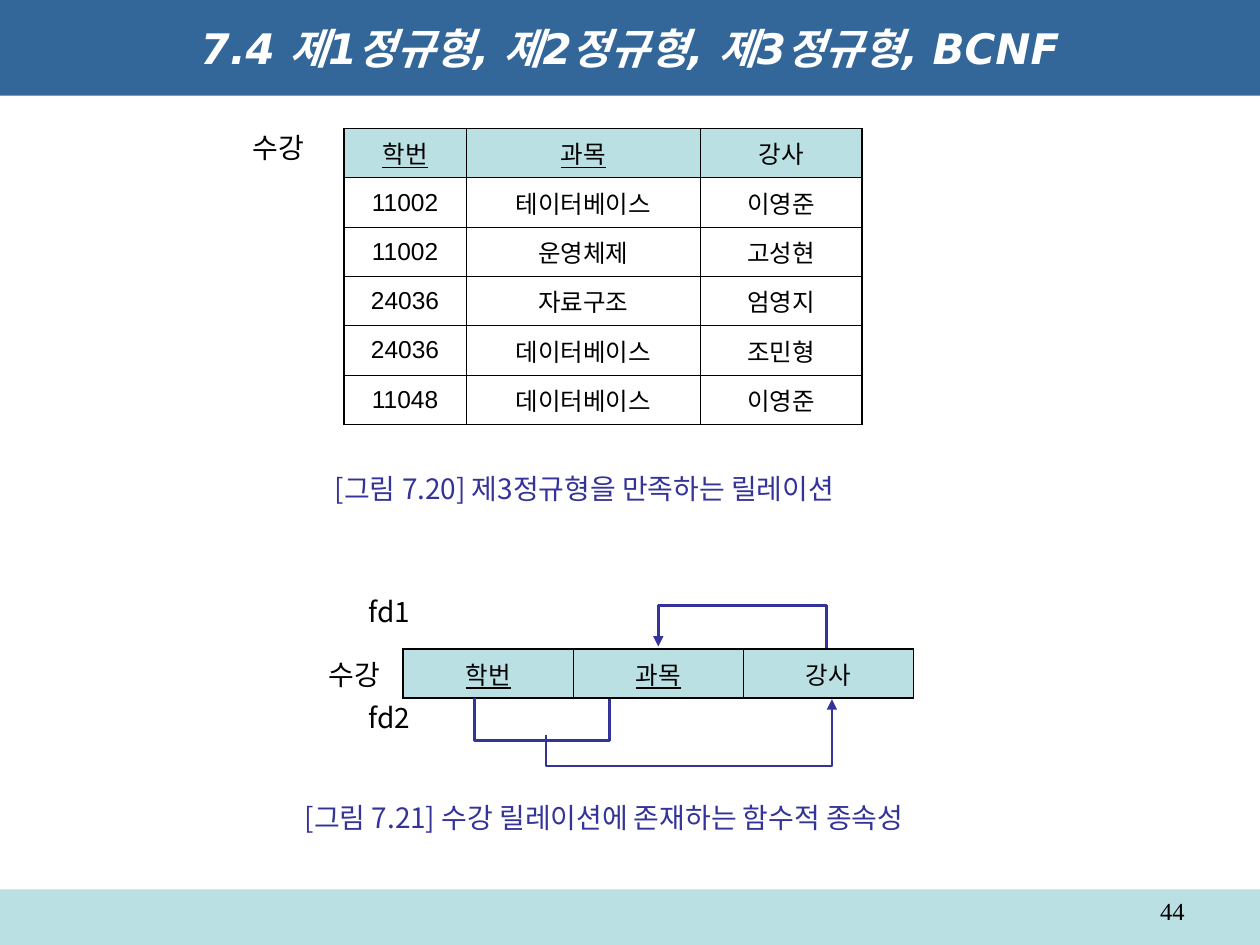
from collections import namedtuple

from lxml.etree import SubElement
from pptx import Presentation
from pptx.dml.color import RGBColor
from pptx.enum.shapes import MSO_CONNECTOR, MSO_SHAPE
from pptx.enum.text import MSO_ANCHOR, PP_ALIGN
from pptx.oxml.ns import qn
from pptx.util import Inches, Pt

COLORS = {"band": "336699", "pale": "BBE0E3", "ink": "000000",
          "accent": "333399", "white": "FFFFFF"}
KOREAN = "Noto Sans CJK KR"
LABEL_FONT = "Noto Sans CJK JP"
COLUMNS, ROWS = 100, 75
WIDTH, HEIGHT = Inches(10), Inches(7.5)
THICK, THIN = 1.08, 0.45
LABEL_HEIGHT = 3.7

# Measured in columns and rows of the slide grid.
Box = namedtuple("Box", "left top width height")

KEYS = ("학번", "과목")
HEADER = ("학번", "과목", "강사")
ENROLMENTS = [
    ("11002", "테이터베이스", "이영준"),
    ("11002", "운영체제", "고성현"),
    ("24036", "자료구조", "엄영지"),
    ("24036", "데이터베이스", "조민형"),
    ("11048", "데이터베이스", "이영준"),
]


def across(columns):
    return round(WIDTH * columns / COLUMNS)


def down(rows):
    return round(HEIGHT * rows / ROWS)


def place(box):
    return across(box.left), down(box.top), across(box.width), down(box.height)


def rgb(name):
    return RGBColor.from_string(COLORS[name])


def write(frame, text, size=16, font=LABEL_FONT, color="ink", align=PP_ALIGN.LEFT,
          anchor=MSO_ANCHOR.TOP, wrap=False, bold=False, italic=False, underline=False):
    frame.word_wrap = wrap
    frame.vertical_anchor = anchor
    paragraph = frame.paragraphs[0]
    paragraph.alignment = align
    run = paragraph.add_run()
    run.text = text
    style = run.font
    style.size, style.name, style.color.rgb = Pt(size), font, rgb(color)
    style.bold, style.italic, style.underline = bold, italic, underline
    SubElement(style._element, qn("a:ea"), typeface=KOREAN)


def add_label(slide, box, text, **style):
    write(slide.shapes.add_textbox(*place(box)).text_frame, text, **style)


def add_band(slide, box, color):
    band = slide.shapes.add_shape(MSO_SHAPE.RECTANGLE, *place(box))
    band.shadow.inherit = False
    band.fill.solid()
    band.fill.fore_color.rgb = rgb(color)
    band.line.fill.background()
    return band


def set_borders(cell, widths):
    """Put left, right, top and bottom lines ahead of the cell's fill."""
    properties = cell._tc.get_or_add_tcPr()
    for position, (side, width) in enumerate(zip("LRTB", widths)):
        line = SubElement(properties, qn(f"a:ln{side}"), w=str(Pt(width)))
        fill = SubElement(line, qn("a:solidFill"))
        SubElement(fill, qn("a:srgbClr"), val=COLORS["ink"])
        properties.insert(position, line)


def add_relation(slide, box, column_shares, records):
    """Draw a relation with its header row and underlined key attributes."""
    rows = [HEADER, *records]
    table = slide.shapes.add_table(len(rows), len(HEADER), *place(box)).table
    table.first_row = table.horz_banding = False
    for column, share in zip(table.columns, column_shares):
        column.width = across(box.width * share / sum(column_shares))
    last_row, last_column = len(rows) - 1, len(HEADER) - 1
    for r, values in enumerate(rows):
        table.rows[r].height = down(box.height / len(rows))
        for c, value in enumerate(values):
            cell = table.cell(r, c)
            if r == 0:
                cell.fill.solid()
                cell.fill.fore_color.rgb = rgb("pale")
            else:
                cell.fill.background()
            outer = (c == 0, c == last_column, r == 0, r == last_row)
            set_borders(cell, [THICK if edge else THIN for edge in outer])
            write(cell.text_frame, value, size=14, font="Arial", wrap=True,
                  align=PP_ALIGN.CENTER, underline=value in KEYS)
            cell.vertical_anchor = MSO_ANCHOR.MIDDLE


def add_dependency(slide, start, end, bus, arrow=True):
    """Join two points by an elbow that runs along the row called bus."""
    (x1, y1), (x2, y2) = start, end
    length, spread = abs(y2 - y1), abs(x2 - x1)
    left, top = (x1 + x2 - length) / 2, (y1 + y2 - spread) / 2
    link = slide.shapes.add_connector(
        MSO_CONNECTOR.ELBOW, across(left), down(top),
        across(left + length), down(top + spread))
    link.line.color.rgb = rgb("accent")
    link.line.width = Pt(1.5)
    properties = link._element.spPr
    # A quarter turn makes the elbow leave and arrive vertically.
    frame = properties.find(qn("a:xfrm"))
    frame.set("rot", "5400000")
    frame.set("flipH", str(int(y2 < y1)))
    frame.set("flipV", str(int(x2 > x1)))
    bend = round((bus - y1) / (y2 - y1) * 100000)
    guides = properties.find(qn("a:prstGeom")).get_or_add_avLst()
    SubElement(guides, qn("a:gd"), name="adj1", fmla=f"val {bend}")
    if arrow:
        SubElement(link.line._get_or_add_ln(), qn("a:tailEnd"), type="triangle")
    SubElement(properties, qn("a:effectLst"))


def add_title(slide, box):
    write(add_band(slide, box, "band").text_frame,
          "7.4 제1정규형, 제2정규형, 제3정규형, BCNF", size=24, font="DejaVu Sans",
          color="white", align=PP_ALIGN.CENTER, anchor=MSO_ANCHOR.MIDDLE,
          wrap=True, bold=True, italic=True)


def add_footer(slide, box):
    add_band(slide, box, "pale")
    number = Box(box.left + box.width - 28.3, box.top, 23.3, 2.9)
    add_label(slide, number, "44", size=14, font="Times New Roman",
              align=PP_ALIGN.RIGHT, wrap=True)


def add_caption(slide, box, text):
    add_label(slide, box, text, font=KOREAN, color="accent", anchor=MSO_ANCHOR.MIDDLE)


def add_relation_figure(slide, box):
    left, top, width, height = box
    add_relation(slide, box, (0.97, 1.86, 1.28), ENROLMENTS)
    add_label(slide, Box(left - 8.2, top - 0.3, 6.3, LABEL_HEIGHT), "수강")
    add_caption(slide, Box(left - 1.7, top + height + 3.2, 46.5, LABEL_HEIGHT),
                "[그림 7.20] 제3정규형을 만족하는 릴레이션")


def add_dependency_figure(slide, box):
    left, top, width, height = box
    bottom = top + height
    add_relation(slide, box, (1, 1, 1), [])
    add_label(slide, Box(left - 6.9, top + 0.2, 6.3, LABEL_HEIGHT), "수강")
    for name, offset in (("fd1", -4.8), ("fd2", 3.6)):
        add_label(slide, Box(left - 3.7, top + offset, 5.4, LABEL_HEIGHT), name)
    keys_bus, fd2_bus = bottom + 3.4, bottom + 5.4
    student, course, keys_middle, lecturer = (
        left + width * share for share in (0.14, 0.405, 0.28, 0.84))
    add_dependency(slide, (student, bottom), (course, bottom + 0.1), keys_bus, arrow=False)
    add_dependency(slide, (keys_middle, keys_bus - 0.5), (lecturer, bottom + 0.1), fd2_bus)
    add_dependency(slide, (left + width * 0.83, top - 0.1),
                   (left + width / 2, top - 0.2), top - 3.5)
    add_caption(slide, Box(left - 8.8, bottom + 7.6, 54.1, LABEL_HEIGHT),
                "[그림 7.21] 수강 릴레이션에 존재하는 함수적 종속성")


def main():
    deck = Presentation()
    deck.slide_width, deck.slide_height = WIDTH, HEIGHT
    slide = deck.slides.add_slide(deck.slide_layouts[6])
    add_footer(slide, Box(0, 70.6, COLUMNS, 4.4))
    add_title(slide, Box(0, 0, COLUMNS, 7.6))
    add_relation_figure(slide, Box(27.3, 10.2, 41.1, 23.5))
    add_dependency_figure(slide, Box(32, 51.5, 40.5, 3.9))
    deck.save("out.pptx")


if __name__ == "__main__":
    main()
